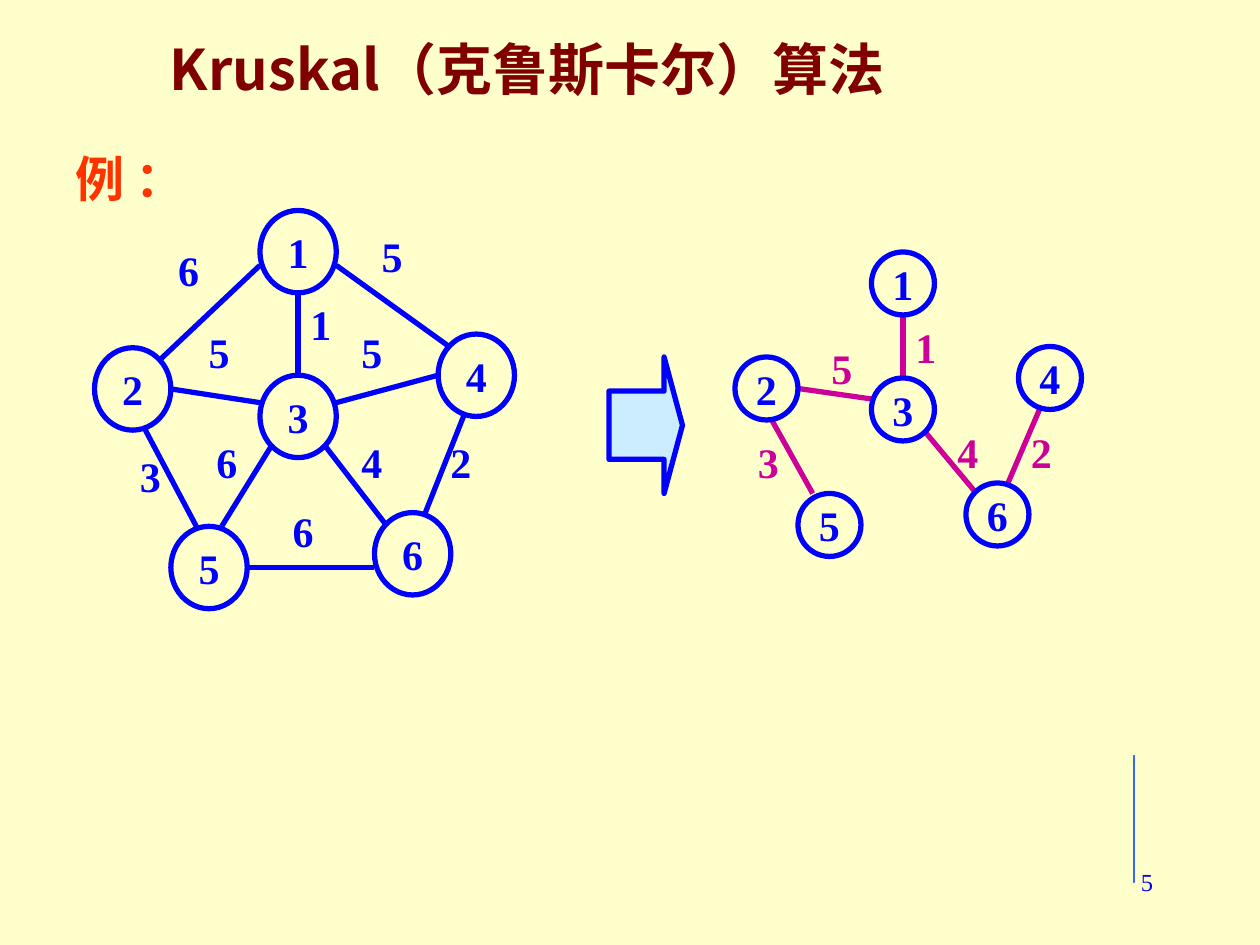
from pptx import Presentation
from pptx.dml.color import RGBColor as Rgb
from pptx.enum.shapes import MSO_CONNECTOR as Link, MSO_SHAPE as Kind
from pptx.enum.text import MSO_ANCHOR as Anchor, PP_ALIGN as Align
from pptx.oxml.xmlchemy import OxmlElement as Node
from pptx.util import Inches, Pt

HEX = {"page": "FFFFCC", "title": "800000", "lead": "FF3300", "blue": "0000FF",
       "tree": "CC0099", "arrow": "CCECFF", "key": "3366FF"}
SANS, SERIF = "Noto Sans CJK SC", "Times New Roman"

# Each grid is (left, top, column width, row height) in inches
GRAPH = (0.75, 1.67, 1.01 / 10, 1.09 / 10)
PAGE = (0, 0, 1 / 12, 1 / 12)
SIDE = 6  # a node spans 6 by 6 cells

# Full graph: nodes by name, edges as two ends, weights with their corners
NODES = {1: (13, 0), 4: (27, 9), 6: (22, 22), 5: (6, 23), 2: (0, 10), 3: (13, 12)}
EDGES = [(13, 4, 5, 11), (4, 16, 8, 23), (12, 26, 22, 26), (29, 15, 26, 22),
         (19, 4, 28, 10), (16, 6, 16, 12), (14, 17, 10, 23), (18, 17, 23, 23),
         (19, 14, 27, 12), (6, 13, 13, 14)]
COSTS = [(1, 16, 6), (5, 21.6, 1), (6, 5.6, 2), (5, 20, 8), (5, 8, 8),
         (4, 20, 16), (6, 8.6, 16), (3, 2.6, 17), (6, 14.6, 21), (2, 27, 16)]

# Minimum spanning tree
TREE_NODES = {1: (83, 24), 3: (83, 36), 5: (76, 47), 2: (70, 34), 4: (97, 33), 6: (92, 46)}
TREE_EDGES = [(86, 30, 86, 36), (76, 37, 83, 38), (88, 41, 93, 47),
              (73.5, 40, 77.4, 47), (99, 39, 96, 46)]
TREE_COSTS = [(1, 86, 30), (5, 78, 32), (4, 90, 40), (3, 71, 41), (2, 97, 40)]


def color(name):
    return Rgb.from_string(HEX[name])


def spot(grid, col, row):
    left, top, wide, high = grid
    return Inches(left + col * wide), Inches(top + row * high)


def span(grid, cols, rows):
    return Inches(cols * grid[2]), Inches(rows * grid[3])


def write(shape, words, size, hue, font=SERIF, bold=True, align=Align.LEFT,
          anchor=Anchor.TOP, wrap=False):
    frame = shape.text_frame
    frame.word_wrap, frame.vertical_anchor = wrap, anchor
    para = frame.paragraphs[0]
    para.alignment = align
    run = para.add_run()
    run.text = words
    face = run.font
    face.name, face.size, face.bold = font, Pt(size), bold
    face.color.rgb = color(hue)
    east = Node("a:ea")
    east.set("typeface", SANS)
    run._r.rPr.find("{*}latin").addnext(east)


def label(slide, words, box, *look, **more):
    write(slide.shapes.add_textbox(*map(Inches, box)), words, *look, **more)


def style(shape, hue, width, fill=None):
    shape.shadow.inherit = False
    shape.line.color.rgb, shape.line.width = color(hue), Pt(width)
    if fill:
        shape.fill.solid()
        shape.fill.fore_color.rgb = color(fill)
    else:
        shape.fill.background()


def nodes(slide, grid, items):
    for name, cell in items.items():
        ring = slide.shapes.add_shape(Kind.OVAL, *spot(grid, *cell), *span(grid, SIDE, SIDE))
        style(ring, "blue", 3)
        write(ring, str(name), 24, "blue", align=Align.CENTER, anchor=Anchor.MIDDLE)


def edges(slide, grid, items, hue):
    for a, b, c, d in items:
        line = slide.shapes.add_connector(Link.STRAIGHT, *spot(grid, a, b), *spot(grid, c, d))
        line.line.color.rgb, line.line.width = color(hue), Pt(3)
        line._element.spPr.append(Node("a:effectLst"))


def costs(slide, grid, items, hue):
    for cost, col, row in items:
        box = slide.shapes.add_textbox(*spot(grid, col, row), Inches(0.36), Inches(0.5))
        write(box, str(cost), 24, hue)


def arrow(slide):
    shape = slide.shapes.add_shape(Kind.RIGHT_ARROW, *spot(PAGE, 58, 34), *span(PAGE, 7, 13))
    shape.adjustments[0], shape.adjustments[1] = 0.5, 0.25
    style(shape, "blue", 3, "arrow")


def button(slide):
    # Outer and inner frames, mitred corners and a triangle
    left, top, right, foot = 8.83, 6.33, 9.42, 6.83
    rim = 0.04
    outer = [(left, top), (right, top), (right, foot), (left, foot)]
    inner = [(left + rim, top + rim), (right - rim, top + rim),
             (right - rim, foot - rim), (left + rim, foot - rim)]
    bevels = [[outer[i], outer[(i + 1) % 4], inner[(i + 1) % 4], inner[i]] for i in range(4)]
    sign = [(8.96, 6.42), (9.29, 6.58), (8.96, 6.75)]
    pen = slide.shapes.build_freeform(*outer[0], scale=Inches(1))
    pen.add_line_segments(outer[1:], close=True)
    for ring in bevels + [sign]:
        pen.move_to(*ring[0])
        pen.add_line_segments(ring[1:], close=True)
    style(pen.convert_to_shape(), "key", 0.75)


def main():
    deck = Presentation()
    deck.slide_width, deck.slide_height = Inches(10), Inches(7.5)
    slide = deck.slides.add_slide(deck.slide_layouts[6])
    slide.background.fill.solid()
    slide.background.fill.fore_color.rgb = color("page")

    # Headings
    label(slide, "Kruskal（克鲁斯卡尔）算法", (1.25, 0.33, 6.58, 0.42), 32, "title",
          font=SANS, anchor=Anchor.MIDDLE, wrap=True)
    label(slide, "例 ：", (0.5, 1.08, 1, 0.67), 28, "lead", anchor=Anchor.MIDDLE, wrap=True)

    # Full graph
    nodes(slide, GRAPH, NODES)
    edges(slide, GRAPH, EDGES, "blue")
    costs(slide, GRAPH, COSTS, "blue")

    # Spanning tree
    edges(slide, PAGE, TREE_EDGES, "tree")
    costs(slide, PAGE, TREE_COSTS, "tree")
    nodes(slide, PAGE, TREE_NODES)
    arrow(slide)

    # Footer
    button(slide)
    label(slide, "5", (7.17, 6.83, 2.08, 0.5), 14, "blue", bold=False,
          align=Align.RIGHT, wrap=True)
    deck.save("out.pptx")


if __name__ == "__main__":
    main()
